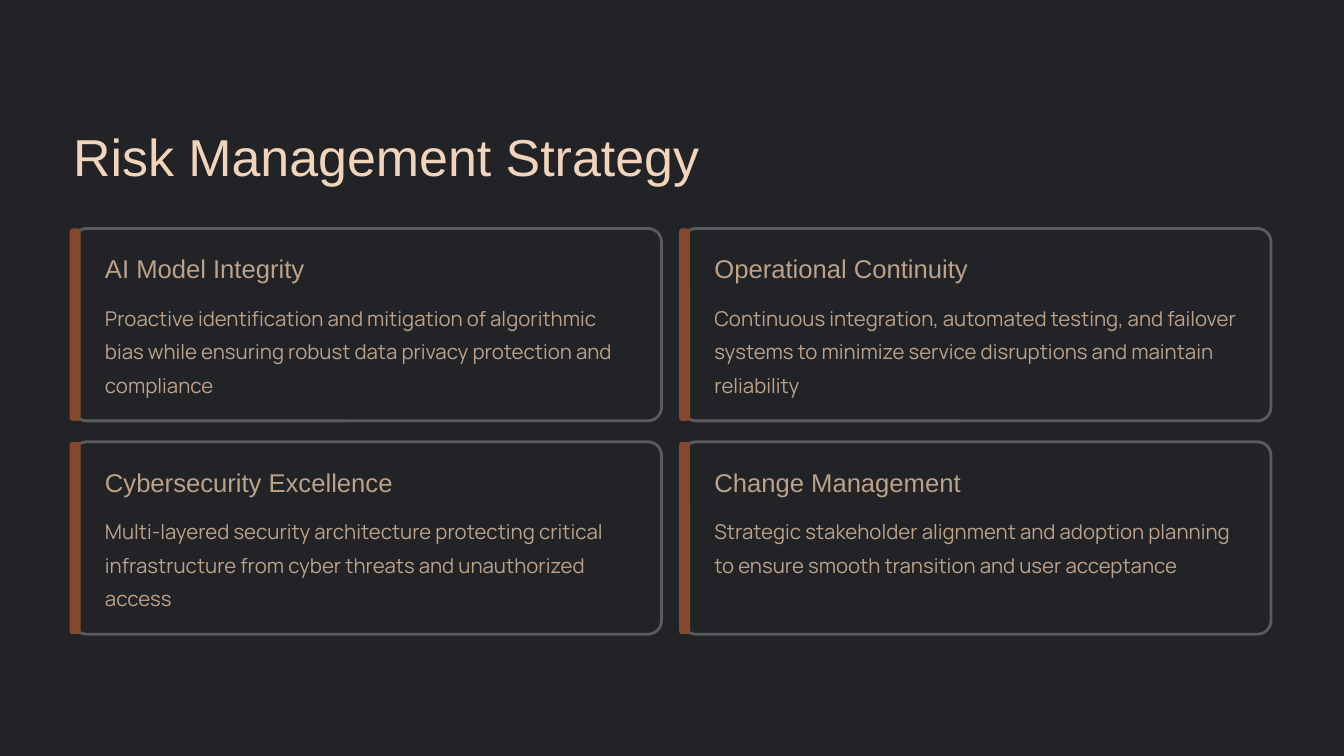
from dataclasses import dataclass

from pptx import Presentation
from pptx.dml.color import RGBColor
from pptx.enum.shapes import MSO_SHAPE
from pptx.util import Inches, Pt


@dataclass(frozen=True)
class Theme:
    back: str = "212326"
    edge: str = "595B5E"
    accent: str = "84482D"
    edge_width: float = 2.4
    # Text styles: font, size, colour, line spacing
    title: tuple = ("Arial", 44.5, "F2D4BA", 55.5)
    head: tuple = ("Arial", 22, "BDA189", 27.5)
    body: tuple = ("Manrope", 17.5, "BDA189", 28.5)


THEME = Theme()
RISKS = [
    ("AI Model Integrity",
     "Proactive identification and mitigation of algorithmic bias while "
     "ensuring robust data privacy protection and compliance"),
    ("Operational Continuity",
     "Continuous integration, automated testing, and failover systems to "
     "minimize service disruptions and maintain reliability"),
    ("Cybersecurity Excellence",
     "Multi-layered security architecture protecting critical infrastructure "
     "from cyber threats and unauthorized access"),
    ("Change Management",
     "Strategic stakeholder alignment and adoption planning to ensure smooth "
     "transition and user acceptance"),
]


def paint(fill, color):
    fill.solid()
    fill.fore_color.rgb = RGBColor.from_string(color)


def add_text(slide, box, text, style):
    name, size, color, pitch = style
    frame = slide.shapes.add_textbox(*map(Inches, box)).text_frame
    sides = ("left", "top", "right", "bottom")
    layout = {f"margin_{side}": 0 for side in sides} | {"word_wrap": True}
    for key, value in layout.items():
        setattr(frame, key, value)
    para = frame.paragraphs[0]
    para.line_spacing = Pt(pitch)
    run = para.add_run()
    run.text = text
    for key, value in {"name": name, "size": Pt(size)}.items():
        setattr(run.font, key, value)
    run.font.color.rgb = RGBColor.from_string(color)


def add_panel(slide, box, color, bend, edge=None):
    """Add a rounded rectangle, outlined only when edge is given."""
    shape = slide.shapes.add_shape(MSO_SHAPE.ROUNDED_RECTANGLE,
                                   *map(Inches, box))
    shape.shadow.inherit = False
    shape.adjustments[0] = bend
    paint(shape.fill, color)
    if edge:
        paint(shape.line.fill, edge)
        shape.line.width = Pt(THEME.edge_width)
    else:
        shape.line.fill.background()


def add_card(slide, box, head, body):
    left, top, width, height = box
    inset = left + 0.38
    inner = width - 0.66
    add_panel(slide, box, THEME.back, 0.07, THEME.edge)
    add_panel(slide, (left - 0.04, top, 0.13, height), THEME.accent, 0.28)
    add_text(slide, (inset, top + 0.28, inner, 0.39), head, THEME.head)
    add_text(slide, (inset, top + 0.82, inner, 1.19), body, THEME.body)


def add_grid(slide, box, cards, cols=2, gap=0.25):
    left, top, width, height = box
    rows = -(-len(cards) // cols)
    wide = (width - gap * (cols - 1)) / cols
    high = (height - gap * (rows - 1)) / rows
    for index, card in enumerate(cards):
        row, col = divmod(index, cols)
        place = (left + col * (wide + gap), top + row * (high + gap),
                 wide, high)
        add_card(slide, place, *card)


def main():
    deck = Presentation()
    deck.slide_width, deck.slide_height = Inches(16), Inches(9)
    slide = deck.slides.add_slide(deck.slide_layouts[6])
    paint(slide.background.fill, THEME.back)
    add_text(slide, (0.87, 1.45, 7.97, 0.78), "Risk Management Strategy",
             THEME.title)
    add_grid(slide, (0.87, 2.72, 14.26, 4.83), RISKS)
    deck.save("out.pptx")


if __name__ == "__main__":
    main()
